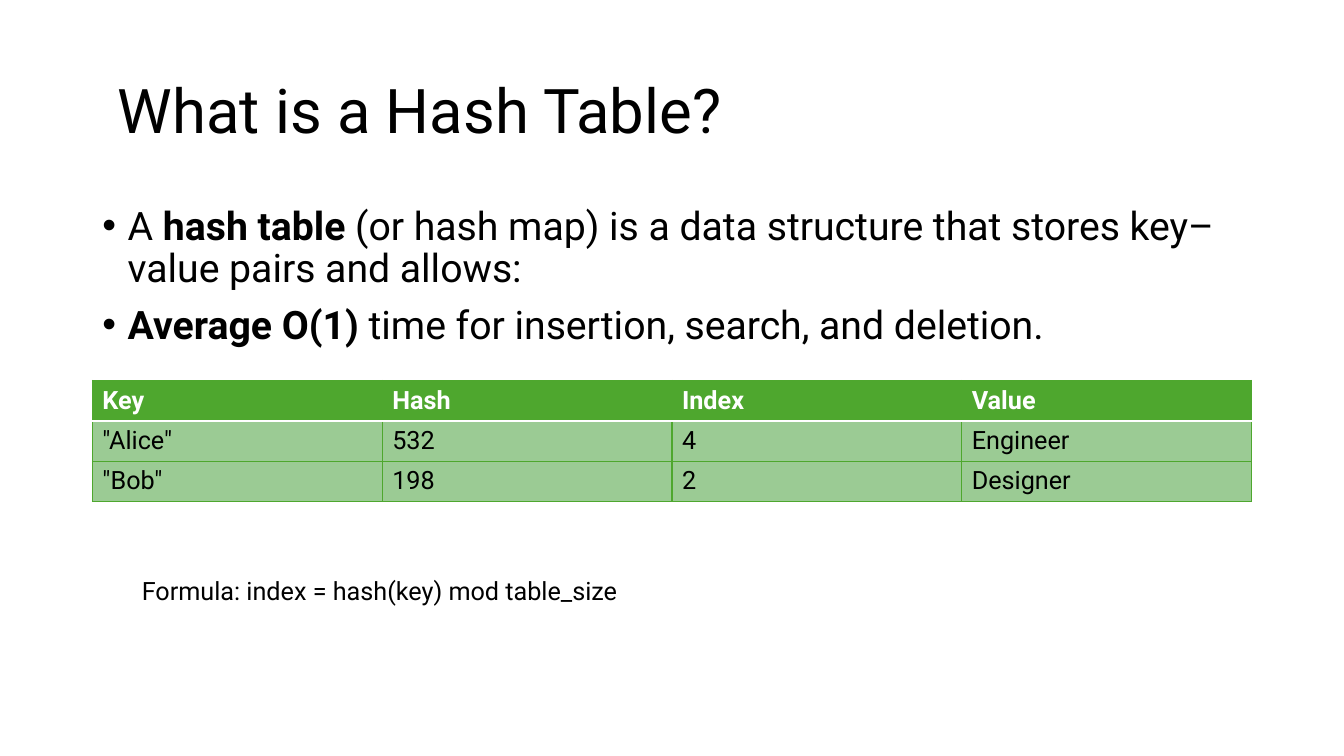
from dataclasses import dataclass

from lxml.etree import SubElement
from pptx import Presentation
from pptx.dml.color import RGBColor
from pptx.enum.text import MSO_ANCHOR, MSO_AUTO_SIZE, PP_ALIGN
from pptx.oxml import parse_xml
from pptx.oxml.ns import nsdecls, qn
from pptx.util import Inches, Pt


@dataclass(frozen=True)
class Theme:
    """Colours, font and type sizes of the slide."""

    font: str = "Roboto"
    ink: str = "000000"
    paper: str = "FFFFFF"
    accent: str = "4EA72E"
    tint: str = "9BCB94"
    title_size: int = 44
    list_size: int = 28
    text_size: int = 18
    line: float = 1
    header_line: float = 1.5


class SlideBuilder:
    """Draws elements on a slide divided into 160 columns and 90 rows."""

    def __init__(self, deck, theme):
        """Add a slide with a title and a body to the deck."""
        self.theme = theme
        self.column = deck.slide_width / 160
        self.row = deck.slide_height / 90
        self.slide = deck.slides.add_slide(deck.slide_layouts[1])

    def box(self, left, top, width, height):
        """Turn grid units into lengths."""
        units = (self.column, self.row) * 2
        return [round(n * unit) for n, unit in zip((left, top, width, height), units)]

    def run(self, paragraph, text, size, color=None, bold=False):
        """Append one styled run."""
        run = paragraph.add_run()
        run.text = text
        run.font.name = self.theme.font
        run.font.size = Pt(size)
        run.font.bold = bold
        run.font.color.rgb = RGBColor.from_string(color or self.theme.ink)

    def placeholder(self, index, area, anchor):
        """Move a template placeholder and return its text frame."""
        holder = self.slide.placeholders[index]
        holder.left, holder.top, holder.width, holder.height = self.box(*area)
        frame = holder.text_frame
        frame.word_wrap = True
        frame.auto_size = MSO_AUTO_SIZE.NONE
        frame.vertical_anchor = anchor
        return frame

    def title(self, text, area):
        """Fill the title placeholder."""
        heading = self.placeholder(0, area, MSO_ANCHOR.MIDDLE).paragraphs[0]
        heading.alignment = PP_ALIGN.LEFT
        heading.line_spacing = 0.9
        self.run(heading, text, self.theme.title_size)

    def bullets(self, points, area):
        """Fill the body placeholder with points made of (text, bold) pairs."""
        frame = self.placeholder(1, area, MSO_ANCHOR.TOP)
        for number, point in enumerate(points):
            paragraph = frame.add_paragraph() if number else frame.paragraphs[0]
            paragraph.line_spacing = 0.9
            paragraph.space_before = Pt(10)
            properties = paragraph._p.get_or_add_pPr()
            properties.set("marL", str(Inches(0.25)))
            properties.set("indent", str(Inches(-0.25)))
            SubElement(properties, qn("a:buFont")).set("typeface", "Arial")
            SubElement(properties, qn("a:buChar")).set("char", "•")
            for text, bold in point:
                self.run(paragraph, text, self.theme.list_size, bold=bold)

    def borders(self, cell, **edges):
        """Outline a cell, with (colour, width) for edges that differ."""
        properties = cell._tc.get_or_add_tcPr()
        for place, edge in enumerate("LRTB"):
            color, width = edges.get(edge, (self.theme.accent, self.theme.line))
            properties.insert(place, parse_xml(
                f'<a:ln{edge} {nsdecls("a")} w="{Pt(width)}"><a:solidFill>'
                f'<a:srgbClr val="{color}"/></a:solidFill></a:ln{edge}>'))

    def table(self, records, area):
        """Add a table whose first record is the header."""
        theme = self.theme
        grid = self.slide.shapes.add_table(
            len(records), len(records[0]), *self.box(*area)).table
        grid.horz_banding = False
        rule = (theme.paper, theme.header_line)
        for r, record in enumerate(records):
            header = r == 0
            edges = {0: {"B": rule}, 1: {"T": rule}}.get(r, {})
            for c, value in enumerate(record):
                cell = grid.cell(r, c)
                cell.vertical_anchor = MSO_ANCHOR.MIDDLE
                cell.fill.solid()
                cell.fill.fore_color.rgb = RGBColor.from_string(
                    theme.accent if header else theme.tint)
                self.borders(cell, **edges)
                self.run(cell.text_frame.paragraphs[0], value, theme.text_size,
                         theme.paper if header else theme.ink, header)

    def note(self, text, area):
        """Add a line of plain text."""
        frame = self.slide.shapes.add_textbox(*self.box(*area)).text_frame
        frame.word_wrap = True
        frame.auto_size = MSO_AUTO_SIZE.SHAPE_TO_FIT_TEXT
        self.run(frame.paragraphs[0], text, self.theme.text_size)


def main():
    """Build and save the slide."""
    deck = Presentation()
    deck.slide_width, deck.slide_height = Inches(13.33), Inches(7.5)
    page = SlideBuilder(deck, Theme())
    margin, content_width, line_height = 11, 138, 4.8

    page.title(" What is a Hash Table?", (margin, 4.8, content_width, 17.4))
    page.bullets([
        [("A ", False), ("hash table", True),
         (" (or hash map) is a data structure that stores key–value pairs and allows:", False)],
        [("Average O(1)", True),
         (" time for insertion, search, and deletion.", False)],
    ], (margin, 24, content_width, 57.1))

    entries = [
        ("Key", "Hash", "Index", "Value"),
        ('"Alice"', "532", "4", "Engineer"),
        ('"Bob"', "198", "2", "Designer"),
    ]
    page.table(entries, (margin, 45.3, content_width, line_height * len(entries)))
    page.note("Formula: index = hash(key) mod table_size", (15.7, 67.9, 80, line_height))
    deck.save("out.pptx")


if __name__ == "__main__":
    main()
